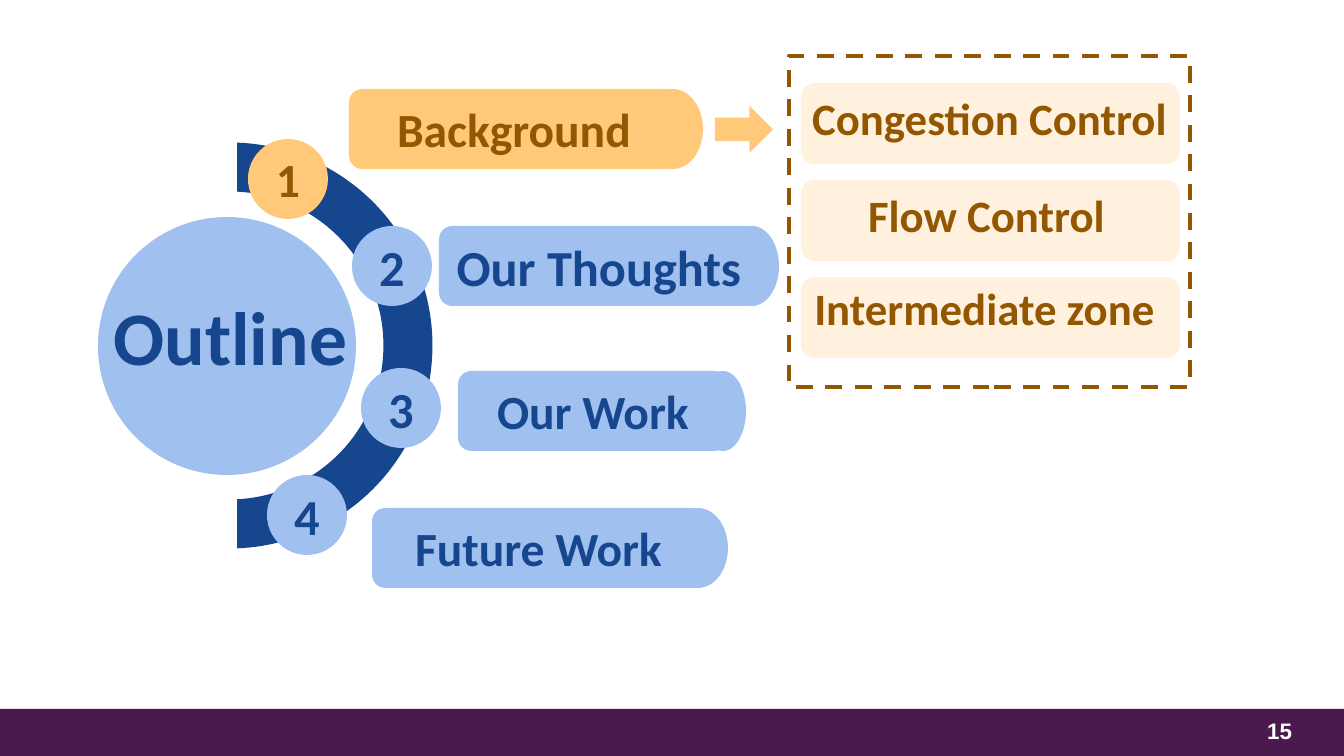
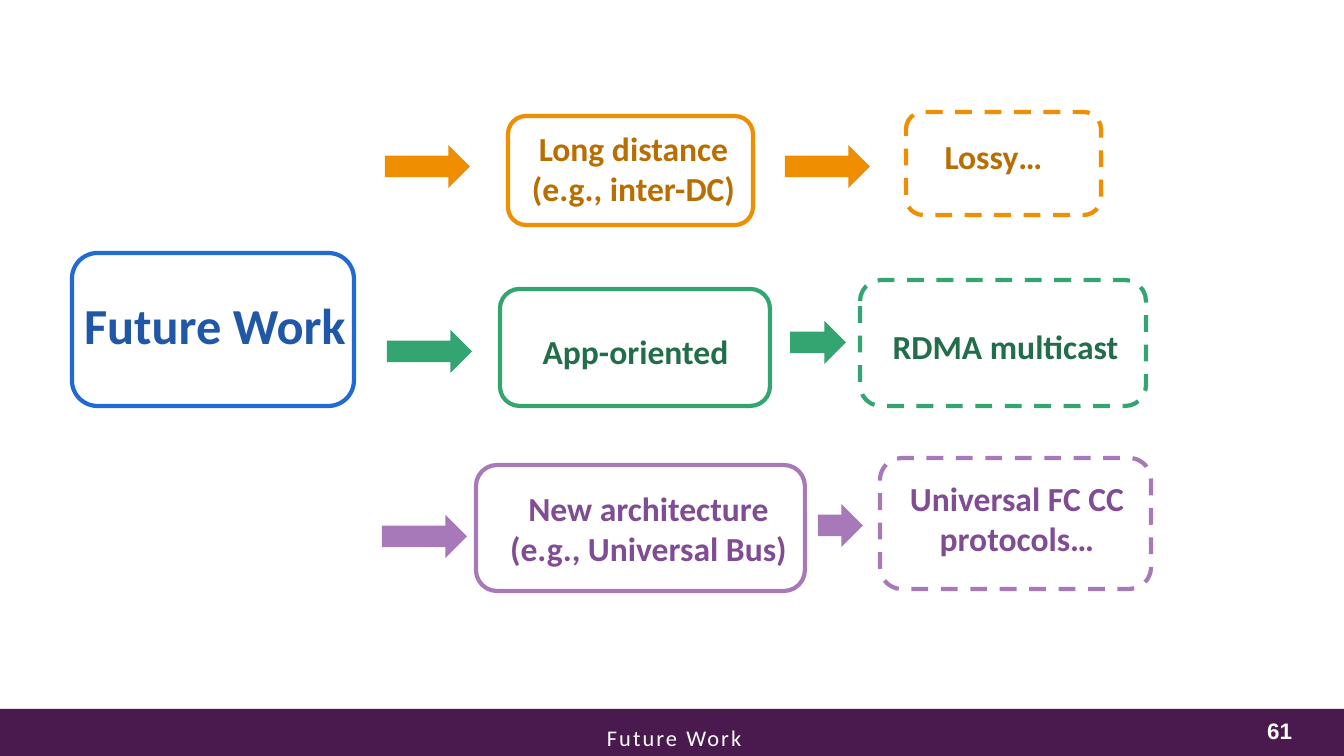
import pptx
import pptx.util
import pptx.dml.color
import pptx.enum.dml
import pptx.enum.shapes
import pptx.enum.text

PX = 12192000 / 1344
SHAPE = pptx.enum.shapes.MSO_SHAPE
ALIGN = pptx.enum.text.PP_ALIGN
ANCHOR = pptx.enum.text.MSO_ANCHOR
COLOURS = {
    "white": "FFFFFF", "band": "4A194E",
    "navy": "16468D", "sky": "A0C0F0",
    "amber": "FFC979", "brown": "925700", "cream": "FFF1DD",
    "blue": "2169D3", "blue text": "2157A7",
    "orange": "EE8E00", "orange text": "B86E00",
    "green": "34A471", "green text": "226E4B",
    "purple": "A879B9", "purple text": "804C93",
}
RGB = {name: pptx.dml.color.RGBColor.from_string(value)
       for name, value in COLOURS.items()}


def draw(slide, kind, box, fill=None, line=None, weight=3, dashed=False):
    """Add a preset shape, or a text box if kind is None; box is in px."""
    box = [round(v * PX) for v in box]
    if kind is None:
        return slide.shapes.add_textbox(*box)
    sp = slide.shapes.add_shape(kind, *box)
    sp.shadow.inherit = False
    if fill:
        sp.fill.solid()
        sp.fill.fore_color.rgb = RGB[fill]
    else:
        sp.fill.background()
    if line:
        sp.line.color.rgb = RGB[line]
        sp.line.width = pptx.util.Pt(weight)
        if dashed:
            sp.line.dash_style = pptx.enum.dml.MSO_LINE.DASH
    else:
        sp.line.fill.background()
    return sp


def write(sp, text, size, colour, font="Calibri", bold=True,
          align=ALIGN.CENTER, anchor=ANCHOR.TOP):
    """Fill a shape with text, one paragraph per line."""
    tf = sp.text_frame
    tf.text = text
    tf.word_wrap = True
    tf.auto_size = pptx.enum.text.MSO_AUTO_SIZE.NONE
    tf.vertical_anchor = anchor
    for p in tf.paragraphs:
        p.alignment = align
        for r in p.runs:
            r.font.name = font
            r.font.size = pptx.util.Pt(size)
            r.font.bold = bold
            r.font.color.rgb = RGB[colour]


prs = pptx.Presentation()
prs.slide_width = round(1344 * PX)
prs.slide_height = round(756 * PX)
layout = prs.slide_layouts[5]
outline = prs.slides.add_slide(layout)
future = prs.slides.add_slide(layout)

# The band is drawn once and moved to the back of the shared layout
band = draw(outline, SHAPE.RECTANGLE, (0, 709, 1344, 47), "band")
band._element.nvSpPr.cNvPr.set("id", "20")
layout.shapes._spTree.insert(2, band._element)

for slide, number in ((outline, "15"), (future, "61")):
    sp = draw(slide, None, (1005, 713, 297, 35))
    write(sp, number, 16, "white", "Arial", align=ALIGN.RIGHT, anchor=ANCHOR.MIDDLE)

# Outline: half ring, disc, numbered pills
draw(outline, SHAPE.OVAL, (51, 167, 357, 357), line="navy", weight=35)
draw(outline, SHAPE.RECTANGLE, (17, 99, 220, 479), "white")
draw(outline, SHAPE.OVAL, (98, 217, 258, 258), "sky")

PILL_H = 80
pills = [  # text, size, badge size, fill, ink, badge, pill x, y, width, cap x, width
    ("Background", 34, 34, "amber", "brown", (248, 139), 349, 89, 330, 643, 60),
    ("Our Thoughts", 36, 36, "sky", "navy", (352, 226), 439, 226, 320, 725, 54),
    ("Our Work", 34, 36, "sky", "navy", (361, 368), 458, 371, 270, 700, 46),
    ("Future Work", 34, 36, "sky", "navy", (267, 475), 372, 508, 333, 668, 60),
]
for i, (text, size, badge_size, fill, ink, badge, x, y, w, cap_x, cap_w) in enumerate(pills, 1):
    draw(outline, SHAPE.OVAL, (cap_x, y, cap_w, PILL_H), fill)
    sp = draw(outline, SHAPE.ROUNDED_RECTANGLE, (x, y, w, PILL_H), fill)
    write(sp, text, size, ink, anchor=ANCHOR.MIDDLE)
    sp = draw(outline, SHAPE.OVAL, (*badge, PILL_H, PILL_H), fill)
    write(sp, str(i), badge_size, ink, anchor=ANCHOR.MIDDLE)

# Outline: topics of the current section
draw(outline, SHAPE.RIGHT_ARROW, (715, 106, 58, 47), "amber")
draw(outline, SHAPE.RECTANGLE, (789, 56, 401, 331), line="brown", dashed=True)
topics = [("Congestion Control", 789, 86), ("Flow Control", 786, 183),
          ("Intermediate zone", 784, 276)]
for i, (text, x, y) in enumerate(topics):
    draw(outline, SHAPE.ROUNDED_RECTANGLE, (801, 83 + 97 * i, 379, 81), "cream")
    write(draw(outline, None, (x, y, 401, 65)), text, 32, "brown")

# Future work: three directions, each with a next step
draw(future, SHAPE.ROUNDED_RECTANGLE, (72, 253, 282, 153), line="blue")
steps = [  # colour, dashed, arrow x, y, width, box, label box, text
    ("orange", False, (385, 145, 85), (508, 116, 245, 109), (502, 123, 263, 92),
     "Long distance (e.g., inter-DC)"),
    ("orange", True, (785, 145, 85), (906, 112, 195, 103), (906, 131, 175, 50),
     "Lossy…"),
    ("green", False, (387, 330, 85), (500, 289, 270, 117), (482, 326, 307, 50),
     "App-oriented"),
    ("green", True, (790, 321, 56), (860, 280, 286, 126), (852, 321, 307, 50),
     "RDMA multicast"),
    ("purple", False, (382, 515, 85), (476, 465, 329, 126), (476, 483, 345, 92),
     "New architecture\n(e.g., Universal Bus)"),
    ("purple", True, (818, 504, 45), (880, 458, 271, 131), (865, 473, 304, 92),
     "Universal FC CC protocols…"),
]
for colour, dashed, arrow, box, label, text in steps:
    draw(future, SHAPE.RIGHT_ARROW, (*arrow, 43), colour)
    draw(future, SHAPE.ROUNDED_RECTANGLE, box, line=colour, dashed=dashed)
    write(draw(future, None, label), text, 24, colour + " text")

footer = draw(future, None, (597, 711, 171, 43))
write(footer, "Future Work", 16, "white", bold=False, align=ALIGN.LEFT)
p = footer.text_frame.paragraphs[0]
p.line_spacing = 1.3
p.runs[0].font._element.set("spc", "150")

# Titles sit on top of their shapes
titles = [(outline, "Outline", 54, "navy", (89, 285, 283, 102)),
          (future, "Future Work", 36, "blue text", (69, 289, 292, 72))]
for slide, text, size, colour, box in titles:
    sp = slide.shapes.title
    sp.left, sp.top, sp.width, sp.height = [round(v * PX) for v in box]
    write(sp, text, size, colour)
    slide.shapes._spTree.append(sp._element)

prs.save("out.pptx")
